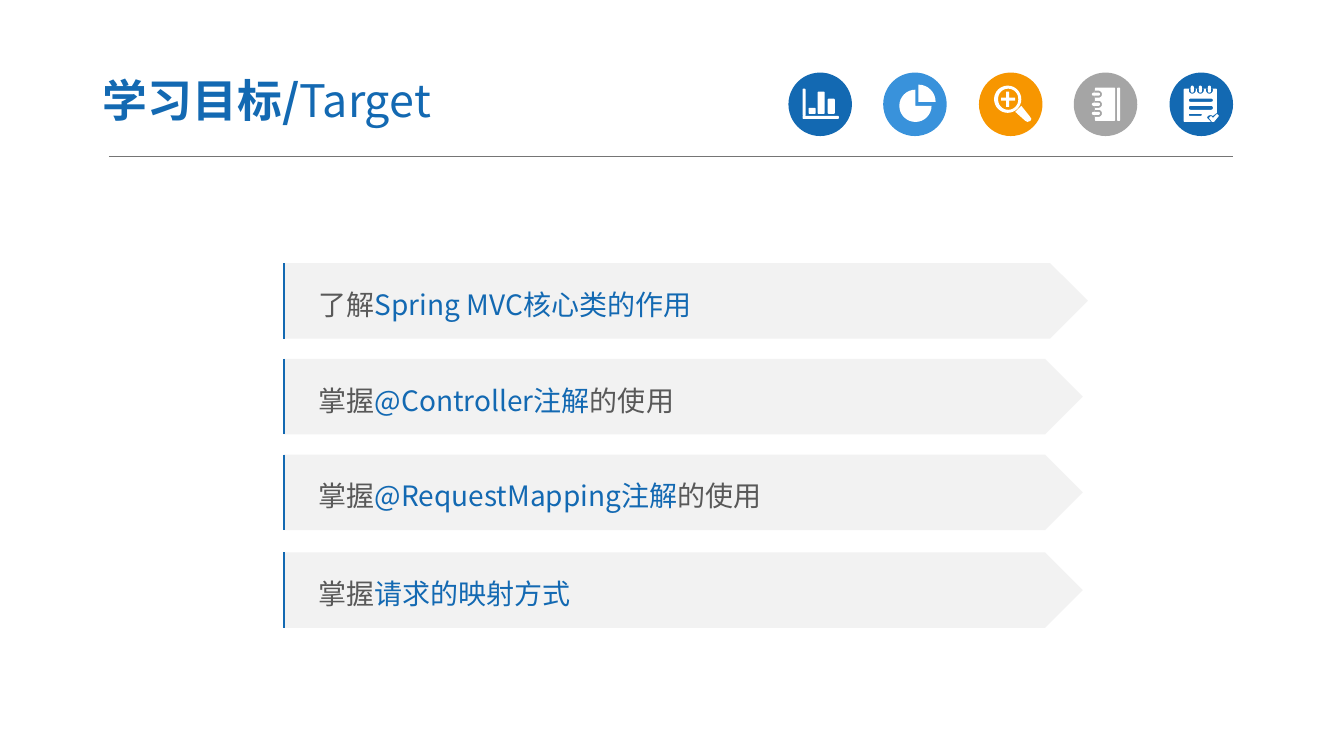
"""Build the learning-targets slide with header icons and four arrow bars."""
from math import cos, pi, sin

from lxml import etree
from pptx import Presentation
from pptx import util as u
from pptx.dml.color import RGBColor
from pptx.enum import shapes, text
from pptx.oxml import ns

PX = 9144
FONT = "Noto Sans CJK SC"
BLUE, WHITE, GRAY = "1369B2", "FFFFFF", "595959"
hue = RGBColor.from_string


def pill(x, y, w, h, r=0):
    """Return a rounded outline, nine points a corner, clockwise from top left."""
    r = r or min(w, h) / 2
    mids = [(x + r, y + r), (x + w - r, y + r),
            (x + w - r, y + h - r), (x + r, y + h - r)]
    return [(a + r * cos(pi + (8 * q + i) * pi / 16),
             b + r * sin(pi + (8 * q + i) * pi / 16))
            for q, (a, b) in enumerate(mids) for i in range(9)]


def write(para, words, size, tint, bold=False):
    """Add one styled run to a paragraph."""
    run = para.add_run()
    run.text = words
    run.font.size = u.Pt(size)
    run.font.bold = bold
    run.font.color.rgb = hue(tint)
    run.font.name = FONT
    etree.SubElement(run._r.get_or_add_rPr(), ns.qn("a:ea"), typeface=FONT)


deck = Presentation()
deck.slide_width, deck.slide_height = 1333 * PX, 750 * PX
slide = deck.slides.add_slide(deck.slide_layouts[6])
parts = slide.shapes

chart = [pill(796, 88, 3, 27, 1), pill(796, 115, 36, 3, 1),
         pill(802, 107, 7, 6, 1), pill(811, 91, 7, 22, 1), pill(821, 98, 7, 15, 1)]

disc = pill(892, 89, 32, 32)
pie = [disc[:9] + [(908, 105)] + disc[18:],
       pill(894, 84, 34, 34)[9:18] + [(911, 101)]]

plus = [(993, 97), (998, 97), (998, 91), (1001, 91), (1001, 97), (1007, 97),
        (1007, 100), (1001, 100), (1001, 106), (998, 106), (998, 100), (993, 100)]
grip = [(1013, 105), (1021, 115), (1023, 118), (1022, 120),
        (1019, 121), (1017, 120), (1007, 111)]
lens = [pill(986, 85, 27, 27), pill(990, 88, 20, 21), plus, grip]

book = [pill(1108, 87, 3, 33, 1), pill(1086, 87, 20, 33, 1)]
for y in (90, 100, 109):
    book.append(pill(1086, y, 7, 7)[9:27] + [(1086, y + 7), (1086, y)])
    book.append(pill(1083, y + 2, 8, 3))

page = pill(1174, 88, 33, 33, 1)
notch = [(1207, 112), (1203, 115), (1201, 114), (1198, 115), (1197, 117), (1201, 121)]
tick = [(1199, 117), (1201, 115), (1203, 117), (1207, 113),
        (1209, 115), (1204, 121), (1202, 121)]
notes = [page[:18] + notch + page[27:], tick, pill(1179, 98, 24, 3),
         pill(1179, 105, 24, 4), pill(1179, 113, 13, 2)]
for x in (1179, 1187, 1196):
    notes.append(pill(x, 86, 7, 7)[18:] + [(x, 88), (x + 7, 88)])
    notes.append(pill(x + 2, 85, 3, 7))

icons = [(BLUE, chart), ("3992DB", pie), ("F79600", lens),
         ("A5A5A5", book), (BLUE, notes)]
for i, (tint, loops) in enumerate(icons):
    left = 782 + i * 189 // 2
    disk = parts.add_shape(shapes.MSO_SHAPE.OVAL, left * PX, 72 * PX, 63 * PX, 63 * PX)
    pen = parts.build_freeform(*[v * PX for v in loops[0][0]], scale=1)
    for n, loop in enumerate(loops):
        dots = [(x * PX, y * PX) for x, y in loop]
        if n:
            pen.move_to(*dots[0])
        pen.add_line_segments(dots[1:], close=True)
    for shape, fill in ((disk, tint), (pen.convert_to_shape(), WHITE)):
        shape.shadow.inherit = False
        shape.fill.solid()
        shape.fill.fore_color.rgb = hue(fill)
        shape.line.fill.background()

title = parts.add_textbox(89 * PX, 63 * PX, 522 * PX, 72 * PX).text_frame
title.word_wrap = True
title.vertical_anchor = text.MSO_ANCHOR.MIDDLE
title.margin_left = title.margin_right = 13 * PX
title.margin_top = title.margin_bottom = 7 * PX
write(title.paragraphs[0], "学习目标/", 32, BLUE, True)
write(title.paragraphs[0], "Target", 32, BLUE)

goals = [(261, 798, ["了解", "Spring MVC核心类的作用"]),
         (356, 793, ["掌握", "@Controller注解", "的使用"]),
         (451, 793, ["掌握", "@RequestMapping注解", "的使用"]),
         (548, 793, ["掌握", "请求的映射方式"])]
rules = [(108, 155, 1223, 155, "757575", 0.5)]
for top, wide, words in goals:
    bar = parts.add_shape(shapes.MSO_SHAPE.PENTAGON, 281 * PX, top * PX, wide * PX, 75 * PX)
    bar.shadow.inherit = False
    bar.fill.solid()
    bar.fill.fore_color.rgb = hue("F2F2F2")
    bar.line.fill.background()
    frame = bar.text_frame
    frame.vertical_anchor = text.MSO_ANCHOR.MIDDLE
    frame.margin_left = 35 * PX
    para = frame.paragraphs[0]
    para.alignment = text.PP_ALIGN.LEFT
    para.line_spacing = 1.2
    for word, tint in zip(words, (GRAY, BLUE, GRAY)):
        write(para, word, 20, tint)
    rules.append((282, top, 282, top + 75, BLUE, 1.5))

for x, y, right, low, tint, width in rules:
    rule = parts.add_connector(shapes.MSO_CONNECTOR.STRAIGHT,
                               x * PX, y * PX, right * PX, low * PX)
    rule.line.color.rgb = hue(tint)
    rule.line.width = u.Pt(width)
    etree.SubElement(rule._element.spPr, ns.qn("a:effectLst"))

deck.save("out.pptx")
